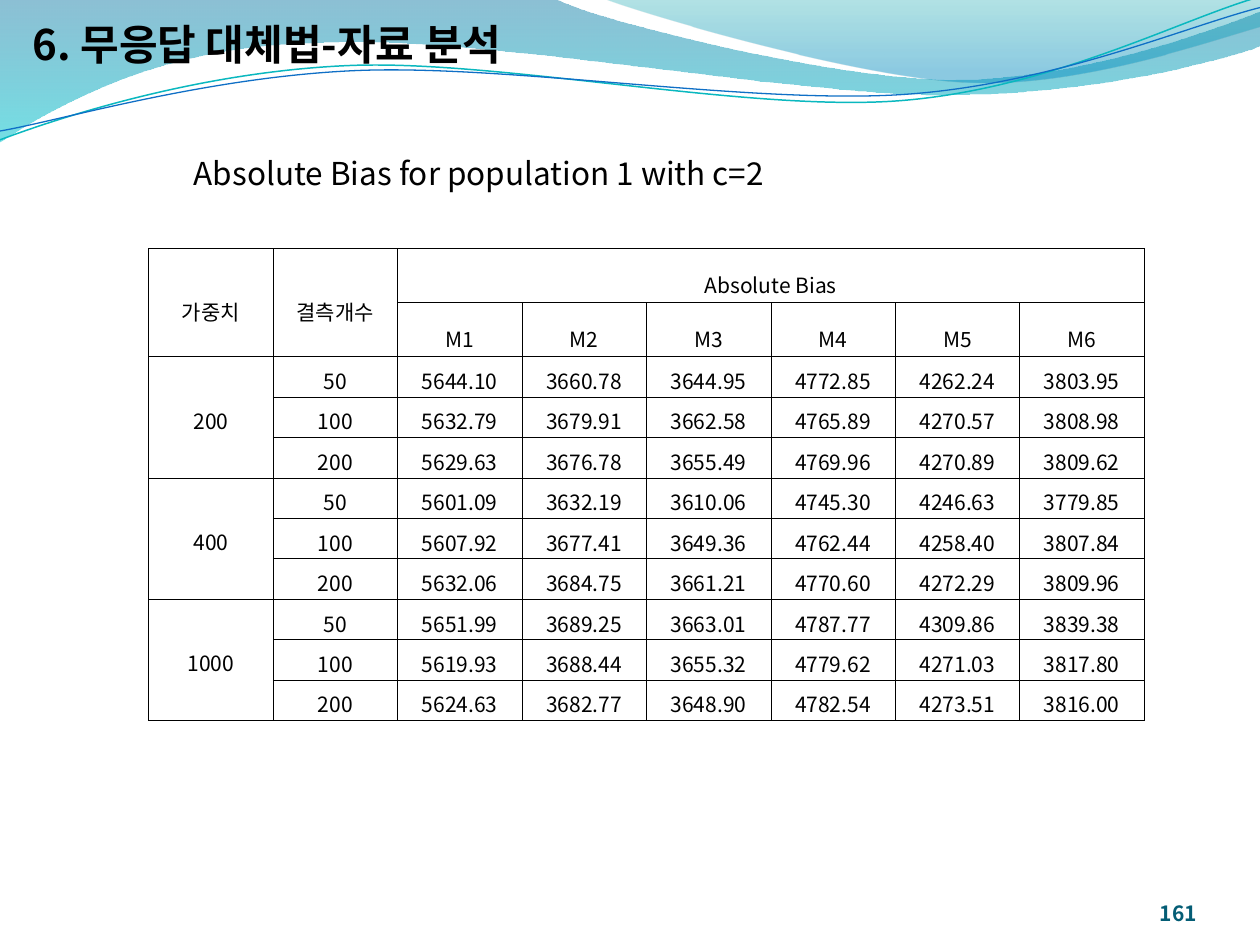
import math
from dataclasses import dataclass

import lxml.etree
import pptx
import pptx.dml.color
import pptx.enum.text
import pptx.oxml.ns
import pptx.util

Inches = pptx.util.Inches
qn = pptx.oxml.ns.qn
ALIGN = pptx.enum.text.PP_ALIGN
ANCHOR = pptx.enum.text.MSO_ANCHOR


@dataclass(frozen=True)
class Theme:
    font: str = "Noto Sans CJK KR"
    text: str = "000000"
    number: str = "045D75"
    teal_line: str = "0AB8BF"
    blue_line: str = "0F6FC6"
    # Gradient stops: position, colour, opacity in percent
    wide_wave: tuple = ((0, "0074A1", 45), (100, "00C6CF", 55))
    right_wave: tuple = ((0, "00A1A9", 30), (80, "008BBF", 45))
    title_size: int = 24
    subtitle_size: int = 18
    small_size: int = 12
    border: float = 0.28


THEME = Theme()

# Outlines: a start point, then curves (three points) and lines (one point)
WIDE_WAVE = [
    [(0, -0.01)], [(4.4, -0.01)],
    [(4.76, 0.17), (6.64, 0.63), (7.58, 0.63)], [(8.53, 0.63), (9.58, 0.26), (10, 0.09)],
    [(10.01, 0.36)],
    [(9.83, 0.44), (8.7, 0.76), (7.46, 0.75)], [(6.22, 0.75), (3.82, 0.28), (2.57, 0.34)],
    [(1.29, 0.35), (0.46, 0.83), (-0.01, 1.13)],
]
RIGHT_WAVE = [
    [(4.79, -0.01)],
    [(5.09, 0.11), (6.82, 0.62), (7.69, 0.65)], [(8.56, 0.69), (9.61, 0.32), (10, 0.21)],
    [(10, 0)],
]
TEAL_CURVE = [
    [(0, 1.11)],
    [(0.48, 0.93), (1.58, 0.57), (2.77, 0.52)], [(3.95, 0.47), (5.93, 0.89), (7.13, 0.8)],
    [(8.33, 0.71), (9.38, 0.15), (9.98, -0.02)],
]
BLUE_CURVE = [
    [(0, 1.04)],
    [(0.47, 0.96), (1.64, 0.61), (2.83, 0.56)], [(4.03, 0.51), (5.97, 0.83), (7.17, 0.75)],
    [(8.36, 0.67), (9.41, 0.21), (10, 0.06)],
]
TILT = -2.7

MISSING_COUNTS = (50, 100, 200)
METHODS = ("M1", "M2", "M3", "M4", "M5", "M6")
BIAS = {
    "200": ("5644.10 3660.78 3644.95 4772.85 4262.24 3803.95",
            "5632.79 3679.91 3662.58 4765.89 4270.57 3808.98",
            "5629.63 3676.78 3655.49 4769.96 4270.89 3809.62"),
    "400": ("5601.09 3632.19 3610.06 4745.30 4246.63 3779.85",
            "5607.92 3677.41 3649.36 4762.44 4258.40 3807.84",
            "5632.06 3684.75 3661.21 4770.60 4272.29 3809.96"),
    "1000": ("5651.99 3689.25 3663.01 4787.77 4309.86 3839.38",
             "5619.93 3688.44 3655.32 4779.62 4271.03 3817.80",
             "5624.63 3682.77 3648.90 4782.54 4273.51 3816.00"),
}


def rgb(colour):
    return pptx.dml.color.RGBColor.from_string(colour)


def write_text(frame, text, size, colour=THEME.text, bold=False, align=ALIGN.LEFT,
               spacing=None, indent=None):
    """Put one formatted paragraph in a text frame."""
    para = frame.paragraphs[0]
    para.alignment = align
    if spacing:
        para.line_spacing = spacing
    if indent:
        para.level = 1
        properties = para._p.get_or_add_pPr()
        properties.set("marL", str(indent))
        properties.set("indent", "0")
    span = para.add_run()
    span.text = text
    span.font.size = pptx.util.Pt(size)
    span.font.bold = bold
    span.font.color.rgb = rgb(colour)
    span.font.name = THEME.font
    east_asian = lxml.etree.SubElement(span._r.get_or_add_rPr(), qn("a:ea"))
    east_asian.set("typeface", THEME.font)


def add_label(page, box, text, size, anchor=ANCHOR.TOP, wrap=True, margin=None, **style):
    frame = page.shapes.add_textbox(*map(Inches, box)).text_frame
    frame.word_wrap = wrap
    frame.vertical_anchor = anchor
    if margin is not None:
        frame.margin_left = frame.margin_right = margin
        frame.margin_top = frame.margin_bottom = margin
    write_text(frame, text, size, **style)


def turn(outline, centre, degrees):
    cosine, sine = math.cos(math.radians(degrees)), math.sin(math.radians(degrees))
    return [[(centre[0] + (x - centre[0]) * cosine - (y - centre[1]) * sine,
              centre[1] + (x - centre[0]) * sine + (y - centre[1]) * cosine)
             for x, y in segment] for segment in outline]


def add_outline(page, outline, close):
    """Draw an outline; each three-point segment becomes one cubic curve."""
    points = [(Inches(x), Inches(y)) for segment in outline for x, y in segment]
    builder = page.shapes.build_freeform(*points[0])
    builder.add_line_segments(points[1:], close=close)
    shape = builder.convert_to_shape()
    shape.shadow.inherit = False
    steps = iter(list(shape._element.iter(qn("a:lnTo"))))
    for segment in outline[1:]:
        lines = [next(steps) for _ in segment]
        if len(segment) == 3:
            curve = lxml.etree.Element(qn("a:cubicBezTo"))
            lines[0].addprevious(curve)
            for line in lines:
                curve.append(line[0])
                line.getparent().remove(line)
    return shape


def add_wave(page, outline, stops):
    shape = add_outline(page, outline, close=True)
    shape.line.fill.background()
    shape.fill.gradient()
    shape.fill.gradient_angle = 270
    for stop, (position, colour, opacity) in zip(shape.fill.gradient_stops, stops):
        stop.position = position / 100
        stop.color.rgb = rgb(colour)
        alpha = lxml.etree.SubElement(stop._gs[0], qn("a:alpha"))
        alpha.set("val", str(opacity * 1000))


def add_curve(page, box, outline, colour, width):
    left, top, across, down = box
    centre = (left + across / 2, top + down / 2)
    shape = add_outline(page, turn(outline, centre, -TILT), close=False)
    shape.rotation = TILT
    shape.fill.background()
    shape.line.color.rgb = rgb(colour)
    shape.line.width = pptx.util.Pt(width)


def add_header(page):
    add_wave(page, WIDE_WAVE, THEME.wide_wave)
    add_wave(page, RIGHT_WAVE, THEME.right_wave)
    add_curve(page, (-0.02, 0.22, 10.02, 0.71), TEAL_CURVE, THEME.teal_line, 0.85)
    add_curve(page, (-0.02, 0.3, 10.03, 0.58), BLUE_CURVE, THEME.blue_line, 0.75)


def format_cell(cell, text, spacing):
    cell.fill.background()
    cell.vertical_anchor = ANCHOR.MIDDLE
    cell.margin_left = cell.margin_right = Inches(0.07)
    cell.margin_top = cell.margin_bottom = Inches(0.02)
    if text:
        write_text(cell.text_frame, text, THEME.small_size, align=ALIGN.CENTER, spacing=spacing)
    properties = cell._tc.get_or_add_tcPr()
    for place, side in enumerate(("a:lnL", "a:lnR", "a:lnT", "a:lnB")):
        line = lxml.etree.Element(qn(side), w=str(pptx.util.Pt(THEME.border)))
        fill = lxml.etree.SubElement(line, qn("a:solidFill"))
        lxml.etree.SubElement(fill, qn("a:srgbClr"), val=THEME.text)
        properties.insert(place, line)


def add_bias_table(page, box):
    rows = [["가중치", "결측개수", "Absolute Bias"] + [""] * 5, ["", "", *METHODS]]
    for weight, lines in BIAS.items():
        for index, (count, line) in enumerate(zip(MISSING_COUNTS, lines)):
            rows.append(["" if index else weight, str(count), *line.split()])
    table = page.shapes.add_table(len(rows), len(rows[0]), *map(Inches, box)).table
    table.first_row = table.horz_banding = False
    for column in table.columns:
        column.width = Inches(box[2] / len(rows[0]))
    heading_height = 0.43
    body_height = (box[3] - 2 * heading_height) / (len(rows) - 2)
    for index, row in enumerate(rows):
        heading = index < 2
        table.rows[index].height = Inches(heading_height if heading else body_height)
        for column, text in enumerate(row):
            format_cell(table.cell(index, column), text, 1.6 if heading else 1.2)
    # Headings and weights that span several cells
    spans = [((0, 0), (1, 0)), ((0, 1), (1, 1)), ((0, 2), (0, 7))]
    spans += [((top, 0), (top + 2, 0)) for top in range(2, len(rows), len(MISSING_COUNTS))]
    for first, last in spans:
        table.cell(*first).merge(table.cell(*last))


def main():
    deck = pptx.Presentation()
    deck.slide_width, deck.slide_height = Inches(10), Inches(7.5)
    page = deck.slides.add_slide(deck.slide_layouts[6])
    add_header(page)
    # Page number, title and subtitle
    add_label(page, (8.67, 6.95, 0.83, 0.4), "161", THEME.small_size, anchor=ANCHOR.BOTTOM,
              margin=0, colour=THEME.number, bold=True, align=ALIGN.RIGHT)
    add_label(page, (0.16, 0, 4.2, 0.7), "6. 무응답 대체법-자료 분석", THEME.title_size,
              anchor=ANCHOR.MIDDLE, wrap=False, bold=True)
    add_label(page, (0.94, 1.17, 8.36, 0.4), "Absolute Bias for population 1 with c=2",
              THEME.subtitle_size, indent=Inches(0.5))
    add_bias_table(page, (1.18, 1.97, 7.9, 3.75))
    deck.save("out.pptx")


if __name__ == "__main__":
    main()
